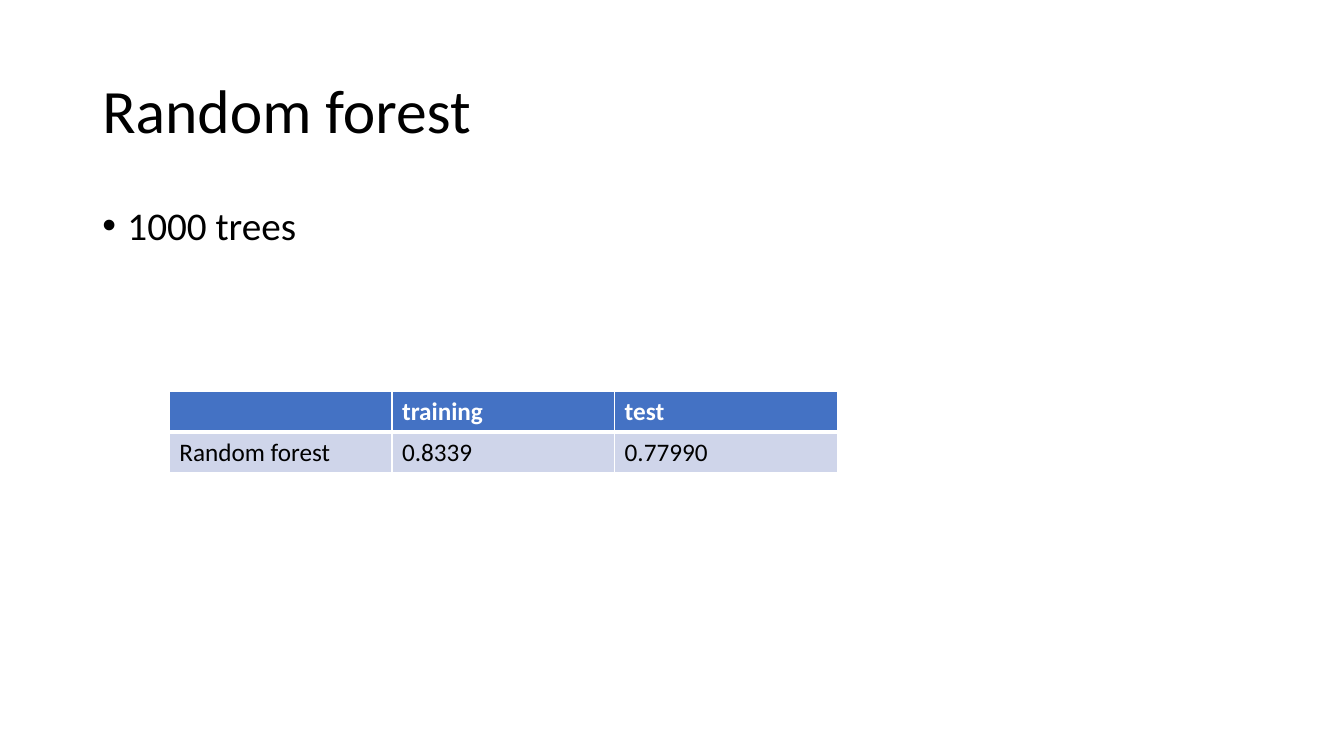
from dataclasses import dataclass
from lxml.etree import SubElement
from pptx import Presentation
from pptx.dml.color import RGBColor
from pptx.enum.text import MSO_ANCHOR
from pptx.oxml.ns import qn
from pptx.util import Pt


@dataclass(frozen=True)
class Theme:
    face: str = "Calibri"
    ink: str = "000000"
    paper: str = "FFFFFF"
    head: str = "4472C4"
    band: str = "CFD5EA"
    title: int = 44
    body: int = 28
    cell: int = 18


class Deck:
    def __init__(self, theme):
        self.theme = theme
        self.file = Presentation()
        self.file.slide_width, self.file.slide_height = Pt(960), Pt(540)
        self.slide = self.file.slides.add_slide(self.file.slide_layouts[6])

    def style(self, para, size, color, bold=False):
        font = para.font
        font.name, font.size, font.bold = self.theme.face, Pt(size), bold
        font.color.rgb = RGBColor.from_string(color)

    def text(self, words, box, size, anchor=MSO_ANCHOR.TOP):
        frame = self.slide.shapes.add_textbox(*map(Pt, box)).text_frame
        frame.word_wrap, frame.vertical_anchor = True, anchor
        para = frame.paragraphs[0]
        para.text, para.line_spacing = words, 0.9
        self.style(para, size, self.theme.ink)
        return para

    def bullet(self, words, box, size):
        para = self.text(words, box, size)
        para.space_before = Pt(10)
        props = para._p.get_or_add_pPr()
        props.set("marL", str(Pt(18)))
        props.set("indent", str(-Pt(18)))
        mark = props.makeelement(qn("a:buChar"), {"char": "•"})
        props.find(qn("a:spcBef")).addnext(mark)
        font = props.makeelement(qn("a:buFont"), {"typeface": "Arial"})
        mark.addprevious(font)

    def edge(self, cell, side, width):
        line = SubElement(cell._tc.get_or_add_tcPr(), qn(f"a:ln{side}"),
                          w=str(Pt(width)))
        fill = SubElement(line, qn("a:solidFill"))
        SubElement(fill, qn("a:srgbClr"), val=self.theme.paper)

    def table(self, rows, box):
        look = self.theme
        grid = self.slide.shapes.add_table(
            len(rows), len(rows[0]), *map(Pt, box)).table
        for r, row in enumerate(rows):
            top = r == 0
            for c, words in enumerate(row):
                cell = grid.cell(r, c)
                # Thick rule below the header, thin rules elsewhere
                for side in "LRTB":
                    thick = (r, side) in ((0, "B"), (1, "T"))
                    self.edge(cell, side, 3 if thick else 1)
                cell.fill.solid()
                cell.fill.fore_color.rgb = RGBColor.from_string(
                    look.head if top else look.band)
                cell.text = words
                self.style(cell.text_frame.paragraphs[0], look.cell,
                           look.paper if top else look.ink, top)

    def save(self):
        self.file.save("out.pptx")


def main():
    look = Theme()
    deck = Deck(look)

    # Title and bullet
    deck.text("Random forest", (66, 28.75, 828, 104.4), look.title,
              MSO_ANCHOR.MIDDLE)
    deck.bullet("1000 trees", (66, 143.75, 828, 342.6), look.body)

    # Scores
    deck.table([["", "training", "test"],
                ["Random forest", "0.8339", "0.77990"]],
               (121, 279.5, 477, 58.4))
    deck.save()


if __name__ == "__main__":
    main()
